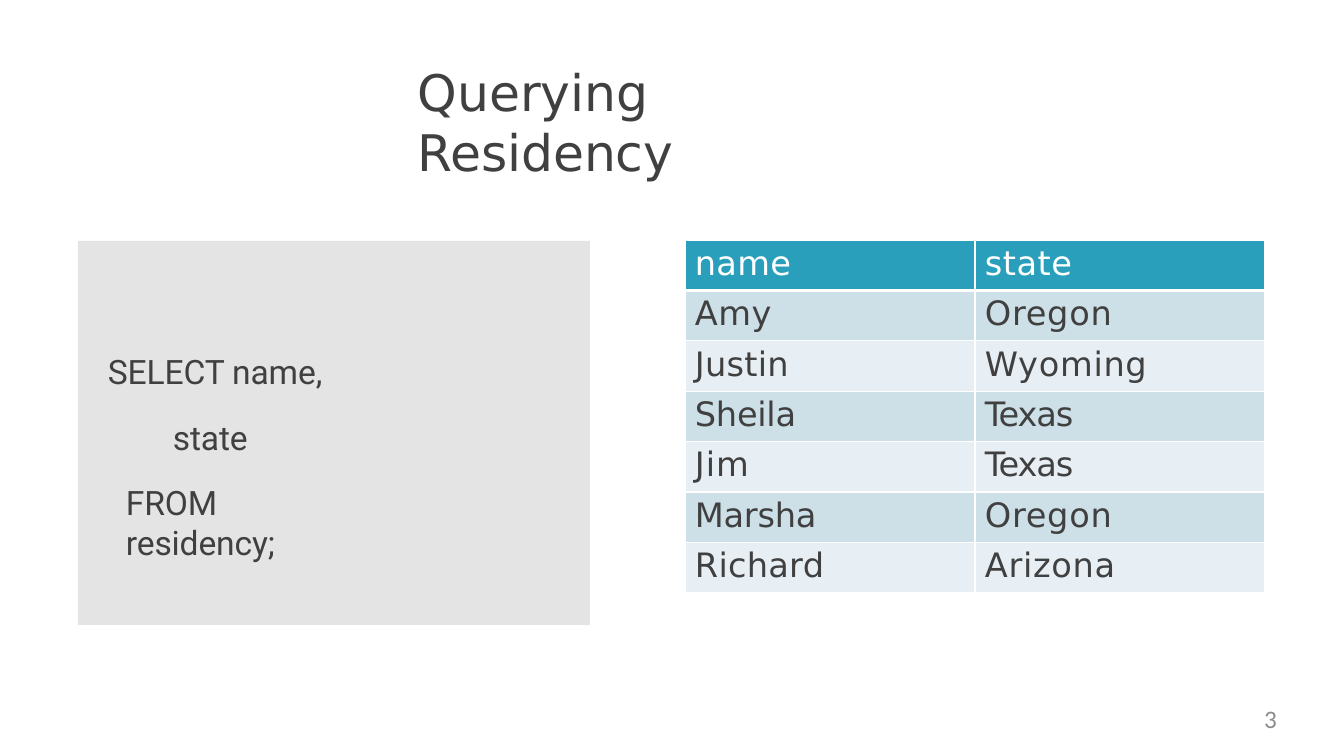
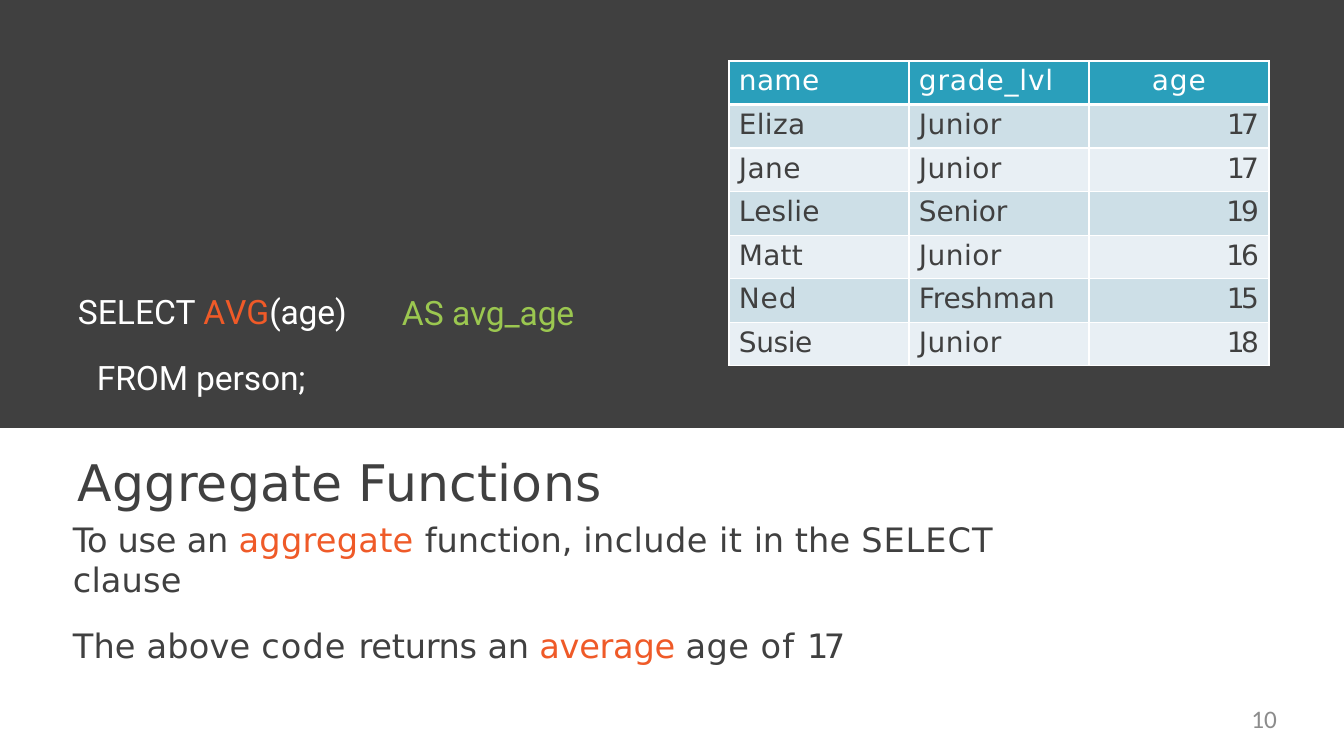
from dataclasses import dataclass
from typing import NamedTuple

from lxml.etree import SubElement
from pptx import Presentation
from pptx.dml.color import RGBColor
from pptx.enum.shapes import MSO_SHAPE
from pptx.enum.text import MSO_ANCHOR, PP_ALIGN
from pptx.oxml.ns import qn
from pptx.util import Emu, Pt

SLIDE_W, SLIDE_H = 1344, 756
EMU_PER_PX = 12192000 / SLIDE_W

DARK, WHITE, PANEL, GREY = "404040", "FFFFFF", "E4E4E4", "8C8C8C"
ORANGE, GREEN = "EF5A28", "9BC750"
HEADER, BANDS = "2A9FBB", ("CDDFE7", "E8EFF4")
SANS, CODE, NUMBER = "DejaVu Sans", "Roboto", "Calibri"
LEFT, CENTER, RIGHT = PP_ALIGN.LEFT, PP_ALIGN.CENTER, PP_ALIGN.RIGHT

WORD_SPACING = {
    "name": 0.2, "state": 0.4, "Amy": 0.4, "Oregon": 0.5, "Justin": 0.2,
    "Wyoming": 0.5, "Sheila": -0.2, "Texas": -0.8, "Jim": 0.7, "Marsha": -0.2,
    "Richard": 0.2, "Arizona": 0.5, "grade_lvl": 0.6, "age": 0.6, "Eliza": 0.2,
    "Junior": 0.3, "Jane": 0.3, "Leslie": 0.1, "Senior": -0.1, "Matt": 0.1,
    "Ned": 0.6, "Freshman": -0.1, "Susie": -0.3, "17": -2.7, "19": -2.2,
    "16": -2.2, "15": -2.5, "18": -2.5,
}


class Box(NamedTuple):
    x: int
    y: int
    w: int
    h: int


class Style(NamedTuple):
    font: str
    size: int
    color: str
    align: PP_ALIGN = LEFT


class Run(NamedTuple):
    text: str
    spacing: float = 0
    color: str = ""


@dataclass
class Para:
    runs: list[Run]
    indent: int = 0
    before: int = 0


@dataclass
class Grid:
    box: Box
    size: int
    aligns: list[PP_ALIGN]
    rows: list[list[str]]


TITLE = Style(SANS, 36, DARK)
BODY = Style(SANS, 24, DARK)
DARK_CODE = Style(CODE, 24, DARK)
LIGHT_CODE = Style(CODE, 24, WHITE)
PAGE = Style(NUMBER, 18, GREY, RIGHT)


def px(n: float) -> Emu:
    return Emu(round(n * EMU_PER_PX))


def rgb(color: str) -> RGBColor:
    return RGBColor.from_string(color)


def write(tf, paras: list[Para], style: Style) -> None:
    for i, para in enumerate(paras):
        p = tf.add_paragraph() if i else tf.paragraphs[0]
        p.alignment = style.align
        if para.indent:
            p._p.get_or_add_pPr().set("marL", str(px(para.indent)))
        if para.before:
            p.space_before = Pt(para.before)
        for run in para.runs:
            r = p.add_run()
            r.text = run.text
            r.font.name = style.font
            r.font.size = Pt(style.size)
            r.font.color.rgb = rgb(run.color or style.color)
            if run.spacing:
                r._r.get_or_add_rPr().set("spc", str(round(run.spacing * 100)))


def set_margins(tf, left: int = 0, top: int = 0, right: int = 0) -> None:
    tf.margin_left, tf.margin_top, tf.margin_right = px(left), px(top), px(right)
    tf.margin_bottom = 0


def add_text(s, box: Box, paras: list[Para], style: Style) -> None:
    tf = s.shapes.add_textbox(*map(px, box)).text_frame
    tf.word_wrap = True
    set_margins(tf)
    write(tf, paras, style)


def add_rect(s, box: Box, color: str):
    sp = s.shapes.add_shape(MSO_SHAPE.RECTANGLE, *map(px, box))
    sp.shadow.inherit = False
    sp.fill.solid()
    sp.fill.fore_color.rgb = rgb(color)
    sp.line.fill.background()
    return sp


def add_borders(cell, top: int, bottom: int) -> None:
    tc_pr = cell._tc.get_or_add_tcPr()
    for side, width in (("L", 1), ("R", 1), ("T", top), ("B", bottom)):
        ln = SubElement(tc_pr, qn(f"a:ln{side}"), w=str(Pt(width)))
        fill = SubElement(ln, qn("a:solidFill"))
        SubElement(fill, qn("a:srgbClr"), val=WHITE)


def add_grid(s, grid: Grid) -> None:
    n_rows, n_cols = len(grid.rows), len(grid.aligns)
    table = s.shapes.add_table(n_rows, n_cols, *map(px, grid.box)).table
    table.horz_banding = False
    for col in table.columns:
        col.width = px(grid.box.w / n_cols)
    for i, words in enumerate(grid.rows):
        table.rows[i].height = px(grid.box.h / n_rows)
        for j, word in enumerate(words):
            cell = table.cell(i, j)
            add_borders(cell, 3 if i == 1 else 1, 3 if i == 0 else 1)
            cell.fill.solid()
            cell.fill.fore_color.rgb = rgb(BANDS[(i - 1) % 2] if i else HEADER)
            set_margins(cell, 10, 4, 10)
            align = grid.aligns[j]
            if i == 0 and align == RIGHT:
                align = CENTER
            style = Style(SANS, grid.size, DARK if i else WHITE, align)
            write(cell.text_frame, [Para([Run(word, WORD_SPACING[word])])], style)


def add_slide(prs, number: int):
    s = prs.slides.add_slide(prs.slide_layouts[6])
    s.background.fill.solid()
    s.background.fill.fore_color.rgb = rgb(WHITE)
    add_text(s, Box(968, 703, 309, 38), [Para([Run(str(number))])], PAGE)
    return s


def build_residency(prs) -> None:
    s = add_slide(prs, 3)
    add_text(s, Box(418, 61, 480, 120), [Para([Run("Querying Residency", -0.1)])], TITLE)
    tf = add_rect(s, Box(78, 241, 512, 384), PANEL).text_frame
    tf.word_wrap = True
    tf.vertical_anchor = MSO_ANCHOR.TOP
    set_margins(tf, top=110, right=250)
    write(tf, [
        Para([Run("SELECT name,", -0.1)], indent=30),
        Para([Run("state", -0.1)], indent=95, before=18),
        Para([Run("FROM residency;", -0.1)], indent=48, before=18),
    ], DARK_CODE)
    add_grid(s, Grid(Box(685, 240, 580, 353), 24, [LEFT, LEFT], [
        ["name", "state"],
        ["Amy", "Oregon"],
        ["Justin", "Wyoming"],
        ["Sheila", "Texas"],
        ["Jim", "Texas"],
        ["Marsha", "Oregon"],
        ["Richard", "Arizona"],
    ]))


def build_aggregates(prs) -> None:
    s = add_slide(prs, 10)
    add_rect(s, Box(0, 0, SLIDE_W, 428), DARK)
    add_text(s, Box(78, 291, 287, 43), [Para([
        Run("SELECT "), Run("A", -1.8, ORANGE), Run("VG", 0, ORANGE), Run("(age)", -0.1),
    ])], LIGHT_CODE)
    add_text(s, Box(402, 292, 185, 43), [Para([
        Run("AS ", 0, GREEN), Run("avg_age", -0.1, GREEN),
    ])], LIGHT_CODE)
    add_text(s, Box(97, 357, 300, 43), [Para([Run("FROM person;", -0.1)])], LIGHT_CODE)
    add_text(s, Box(78, 451, 1000, 62), [Para([Run("Aggregate Functions", 0.2)])], TITLE)
    add_text(s, Box(73, 519, 1000, 150), [
        Para([
            Run("To ", -0.5), Run("use ", -0.2), Run("an ", -0.3),
            Run("aggregate ", 0.2, ORANGE), Run("function, "), Run("include it ", 0.3),
            Run("in ", -0.1), Run("the ", 0.1), Run("SELECT ", 0.7), Run("clause", 0.1),
        ]),
        Para([
            Run("The above ", 0.1), Run("code ", 0.8), Run("returns ", -0.2),
            Run("an ", -0.3), Run("average ", -0.2, ORANGE), Run("age ", 0.3),
            Run("of ", 0.8), Run("17", -3.2),
        ], before=18),
    ], BODY)
    add_grid(s, Grid(Box(729, 61, 540, 305), 20, [LEFT, LEFT, RIGHT], [
        ["name", "grade_lvl", "age"],
        ["Eliza", "Junior", "17"],
        ["Jane", "Junior", "17"],
        ["Leslie", "Senior", "19"],
        ["Matt", "Junior", "16"],
        ["Ned", "Freshman", "15"],
        ["Susie", "Junior", "18"],
    ]))


def main() -> None:
    prs = Presentation()
    prs.slide_width, prs.slide_height = px(SLIDE_W), px(SLIDE_H)
    build_residency(prs)
    build_aggregates(prs)
    prs.save("out.pptx")


if __name__ == "__main__":
    main()
